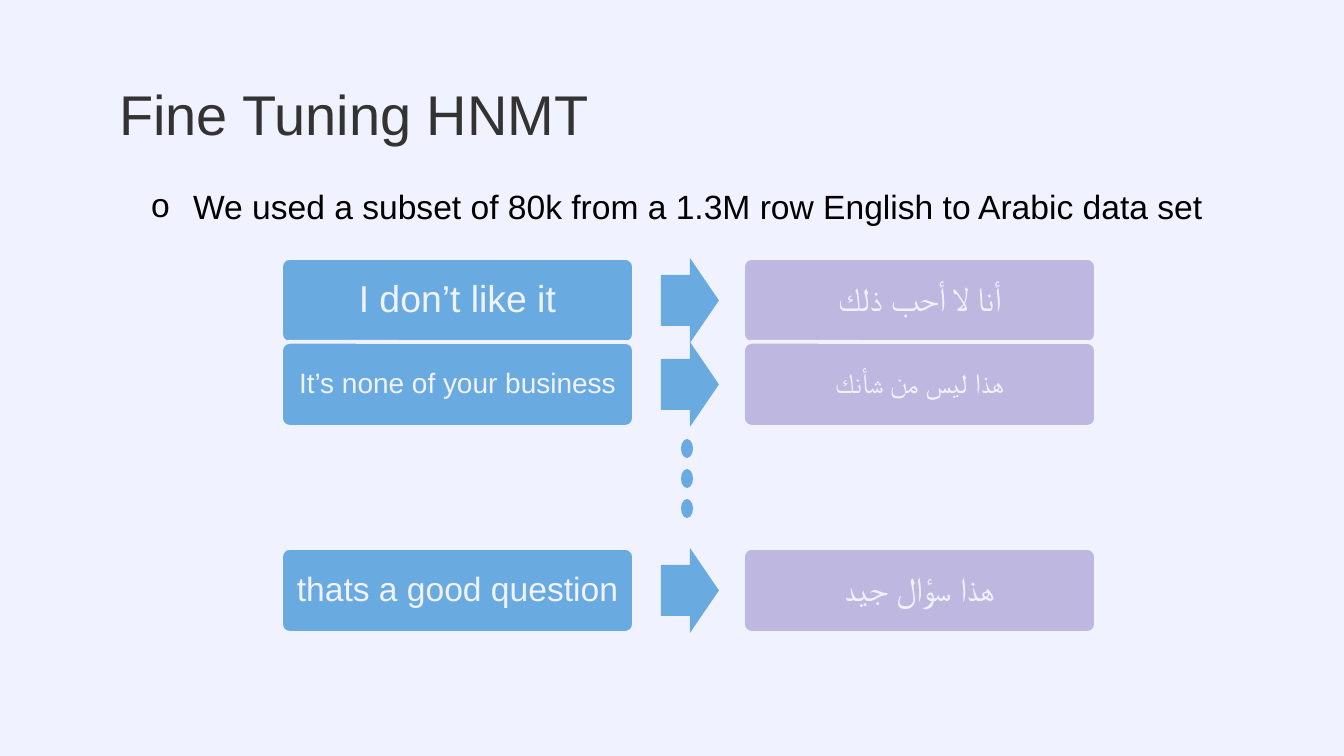
from lxml.etree import SubElement
from pptx import Presentation
from pptx.dml.color import RGBColor
from pptx.enum.shapes import MSO_SHAPE
from pptx.enum.text import MSO_ANCHOR, MSO_AUTO_SIZE, PP_ALIGN
from pptx.oxml.ns import qn
from pptx.util import Pt

# Content
TITLE = "Fine Tuning HNMT"
BULLET = "We used a subset of 80k from a 1.3M row English to Arabic data set"
# top, English (text, size, inset), Arabic (text, size, inset)
PAIRS = [
    (258, ("I don’t like it", 20, 11), ("أنا لا أحب ذلك", 18, 9)),
    (342, ("It’s none of your business", 15, 8), ("هذا ليس من شأنك", 15, 8)),
    (548, ("thats a good question", 18, 9), ("هذا سؤال جيد", 18, 9)),
]

# Look
BACKGROUND = RGBColor(0xF1, 0xF2, 0xFF)
BLUE = RGBColor(0x69, 0xAB, 0xE0)
LILAC = RGBColor(0xBE, 0xB7, 0xDF)
DARK = RGBColor(0x33, 0x33, 0x33)
BLACK = RGBColor(0, 0, 0)

# Layout in px
ENGLISH_LEFT, ARROW_LEFT, ARABIC_LEFT = 281, 661, 743
CARD_WIDTH, ARROW_WIDTH, ROW_HEIGHT = 353, 58, 85
DOT_LEFT, DOT_TOP, DOT_STEP, DOT_WIDTH, DOT_HEIGHT = 681, 439, 30, 12, 19


def px(value):
    return round(value * 914400 / 134.4)


def apply(target, formats):
    for name, value in formats.items():
        setattr(target, name, value)


def write(box, text, size, color, frame_format, para_format):
    apply(box.text_frame, frame_format)
    para = box.text_frame.paragraphs[0]
    apply(para, para_format)
    span = para.add_run()
    span.text = text
    apply(span.font, {"name": "Arial", "size": Pt(size)})
    span.font.color.rgb = color
    return para


def margins(inset):
    sides = ("left", "right", "top", "bottom")
    return {f"margin_{side}": px(inset) for side in sides}


def add_figure(shapes, kind, left, top, width, height, fill, adjustments=()):
    figure = shapes.add_shape(kind, px(left), px(top), px(width), px(height))
    figure.shadow.inherit = False
    figure.fill.solid()
    figure.fill.fore_color.rgb = fill
    figure.line.fill.background()
    for index, value in enumerate(adjustments):
        figure.adjustments[index] = value
    return figure


def add_card(shapes, left, top, fill, phrase):
    text, size, inset = phrase
    card = add_figure(shapes, MSO_SHAPE.ROUNDED_RECTANGLE, left, top,
                      CARD_WIDTH, ROW_HEIGHT, fill, (0.1,))
    card.line.color.rgb = BACKGROUND
    card.line.width = Pt(2)
    write(card, text, size, BACKGROUND,
          {"word_wrap": True, "vertical_anchor": MSO_ANCHOR.MIDDLE, **margins(inset)},
          {"alignment": PP_ALIGN.CENTER, "line_spacing": 0.9})


deck = Presentation()
apply(deck, {"slide_width": px(1344), "slide_height": px(756)})
page = deck.slides.add_slide(deck.slide_layouts[5])
page.background.fill.solid()
page.background.fill.fore_color.rgb = BACKGROUND

# Title
title = page.shapes.title
apply(title, {"left": px(106), "top": px(62), "width": px(1133), "height": px(85)})
write(title, TITLE, 30, DARK,
      {"word_wrap": True, "auto_size": MSO_AUTO_SIZE.NONE,
       "vertical_anchor": MSO_ANCHOR.TOP, **margins(13), "margin_top": px(18)},
      {"alignment": PP_ALIGN.LEFT})

# Bullet line
note = page.shapes.add_textbox(px(138), px(179), px(1206), px(54))
para = write(note, BULLET, 18, BLACK, {"word_wrap": True}, {})
properties = para._p.get_or_add_pPr()
properties.set("marL", str(px(42)))
properties.set("indent", str(px(-42)))
SubElement(properties, qn("a:buFont"), typeface="Arial")
SubElement(properties, qn("a:buChar"), char="o")

# Sentence pairs, each an English card, an arrow and an Arabic card
for top, english, arabic in PAIRS:
    row = page.shapes.add_group_shape().shapes
    add_card(row, ENGLISH_LEFT, top, BLUE, english)
    add_figure(row, MSO_SHAPE.RIGHT_ARROW, ARROW_LEFT, top,
               ARROW_WIDTH, ROW_HEIGHT, BLUE, (0.6, 0.5))
    add_card(row, ARABIC_LEFT, top, LILAC, arabic)

# Dots for the rows left out
for index in range(3):
    add_figure(page.shapes, MSO_SHAPE.OVAL, DOT_LEFT, DOT_TOP + index * DOT_STEP,
               DOT_WIDTH, DOT_HEIGHT, BLUE)

deck.save("out.pptx")
